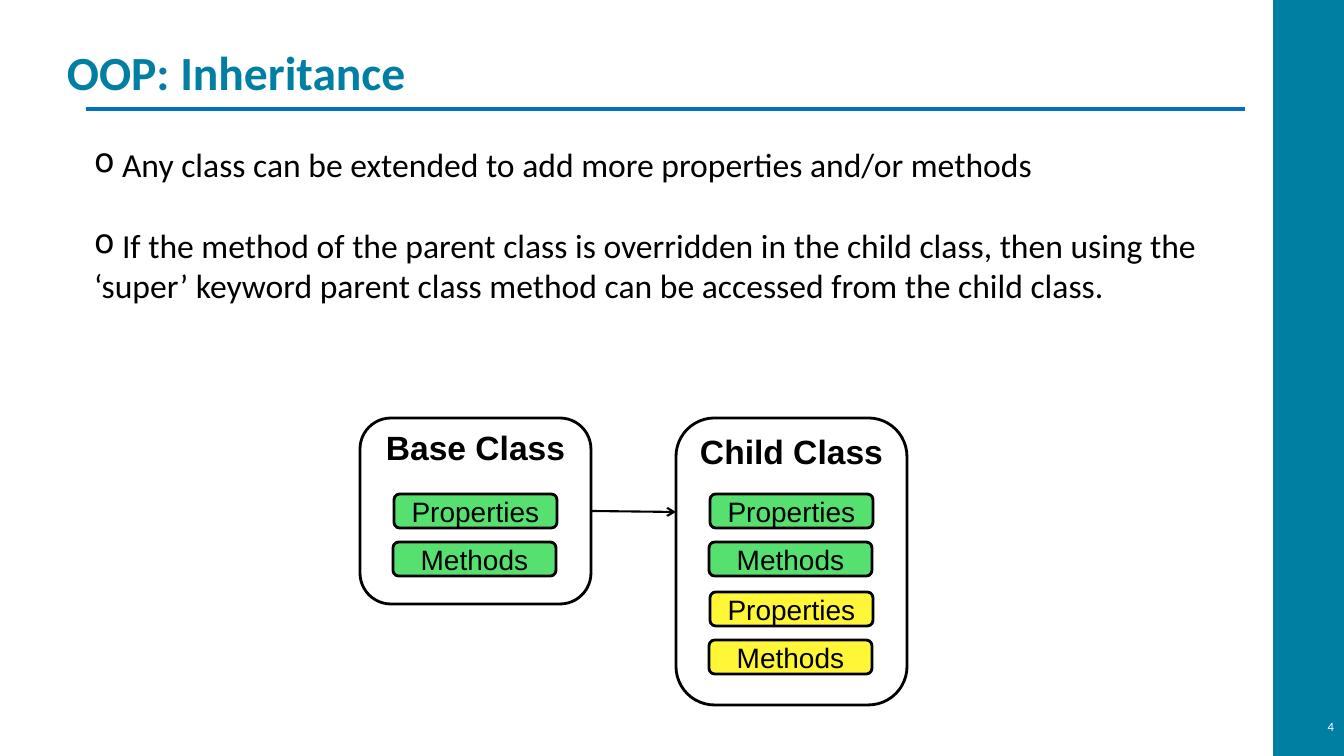
from pptx import Presentation
from pptx.dml.color import RGBColor
from pptx.enum.shapes import MSO_CONNECTOR, MSO_SHAPE
from pptx.enum.text import MSO_ANCHOR, PP_ALIGN
from pptx.oxml.ns import qn
from pptx.util import Pt
from lxml import etree

RECT, ROUNDED = MSO_SHAPE.RECTANGLE, MSO_SHAPE.ROUNDED_RECTANGLE
STRAIGHT = MSO_CONNECTOR.STRAIGHT
TOP, MIDDLE, BOTTOM = MSO_ANCHOR.TOP, MSO_ANCHOR.MIDDLE, MSO_ANCHOR.BOTTOM
LEFT, CENTER, RIGHT = PP_ALIGN.LEFT, PP_ALIGN.CENTER, PP_ALIGN.RIGHT

TEAL = RGBColor(0x00, 0x7F, 0xA3)
BLUE = RGBColor(0x00, 0x70, 0xC0)
BLACK = RGBColor(0x00, 0x00, 0x00)
WHITE = RGBColor(0xFF, 0xFF, 0xFF)
GREEN = RGBColor(0x55, 0xE0, 0x6F)
YELLOW = RGBColor(0xFF, 0xF6, 0x38)

SCALE = 914400 / 100.8
BULLETS = [
    " Any class can be extended to add more properties and/or methods",
    " If the method of the parent class is overridden in the child class, then using the "
    "‘super’ keyword parent class method can be accessed from the child class.",
]
MEMBERS = ["Properties", "Methods"]


def px(n):
    return round(n * SCALE)


def write(sp, *lines, size, color=BLACK, font="Calibri", bold=False, align=LEFT,
          anchor=TOP, inset=(0, 0), bullet=None, gap=0, spacing=1.0):
    tf = sp.text_frame
    tf.word_wrap = True
    tf.vertical_anchor = anchor
    tf.margin_left = tf.margin_right = px(inset[0])
    tf.margin_top = tf.margin_bottom = px(inset[1])
    for i, line in enumerate(lines):
        p = tf.add_paragraph() if i else tf.paragraphs[0]
        p.alignment = align
        p.line_spacing = spacing
        p.space_before = Pt(gap if i else 0)
        if bullet:
            etree.SubElement(p._p.get_or_add_pPr(), qn("a:buChar"), char=bullet)
        r = p.add_run()
        r.text = line
        r.font.name = font
        r.font.size = Pt(size)
        r.font.bold = bold
        r.font.color.rgb = color


class Canvas:
    def __init__(self, s, font, line_width):
        self.s = s
        self.font = font
        self.line_width = line_width

    def text(self, x, y, w, h, *lines, **fmt):
        sp = self.s.shapes.add_textbox(px(x), px(y), px(w), px(h))
        write(sp, *lines, **fmt)

    def shape(self, kind, x, y, w, h, fill=None, line=None):
        sp = self.s.shapes.add_shape(kind, px(x), px(y), px(w), px(h))
        sp.shadow.inherit = False
        if fill is None:
            sp.fill.background()
        else:
            sp.fill.solid()
            sp.fill.fore_color.rgb = fill
        if line is None:
            sp.line.fill.background()
        else:
            sp.line.color.rgb = line
            sp.line.width = Pt(self.line_width)
        return sp

    def line(self, x1, y1, x2, y2, color, width, start=None, arrow=False):
        c = self.s.shapes.add_connector(STRAIGHT, px(x1), px(y1), px(x2), px(y2))
        c.line.color.rgb = color
        c.line.width = Pt(width)
        if start is not None:
            c.begin_connect(*start)
        if arrow:
            etree.SubElement(c.line._get_or_add_ln(), qn("a:tailEnd"), type="arrow")
        etree.SubElement(c._element.spPr, qn("a:effectLst"))

    def class_box(self, x, y, w, h, name, colors, inset):
        box = self.shape(ROUNDED, x, y, w, h, line=BLACK)
        write(box, name, size=24, font=self.font, bold=True, align=CENTER, inset=(0, inset))
        for group, color in enumerate(colors):
            for row, member in enumerate(MEMBERS):
                sp = self.shape(ROUNDED, x + 34 - row, y + 76 + 98 * group + 48 * row,
                                163, 34, fill=color, line=BLACK)
                write(sp, member, size=20, font=self.font, align=CENTER, anchor=MIDDLE)
        return box


def main():
    prs = Presentation()
    prs.slide_width, prs.slide_height = px(1344), px(756)
    s = prs.slides.add_slide(prs.slide_layouts[6])
    canvas = Canvas(s, font="Arial", line_width=2)

    canvas.shape(RECT, 1273, 0, 71, 756, fill=TEAL)
    canvas.line(86, 109, 1245, 109, BLUE, 3)
    canvas.text(67, 24, 1210, 77, "OOP: Inheritance", size=34, color=TEAL, bold=True,
                anchor=BOTTOM, spacing=0.9)
    canvas.text(1263, 712, 81, 30, "4", size=9, color=WHITE, align=RIGHT,
                anchor=MIDDLE, inset=(10, 5))
    canvas.text(84, 139, 1151, 214, *BULLETS, size=24, inset=(10, 5), bullet="o", gap=29)

    base = canvas.class_box(360, 418, 231, 186, "Base Class", [GREEN], inset=0)
    canvas.class_box(676, 418, 231, 287, "Child Class", [GREEN, YELLOW], inset=2)
    canvas.line(591, 511, 676, 512, BLACK, 1.5, start=(base, 3), arrow=True)

    prs.save("out.pptx")


if __name__ == "__main__":
    main()
